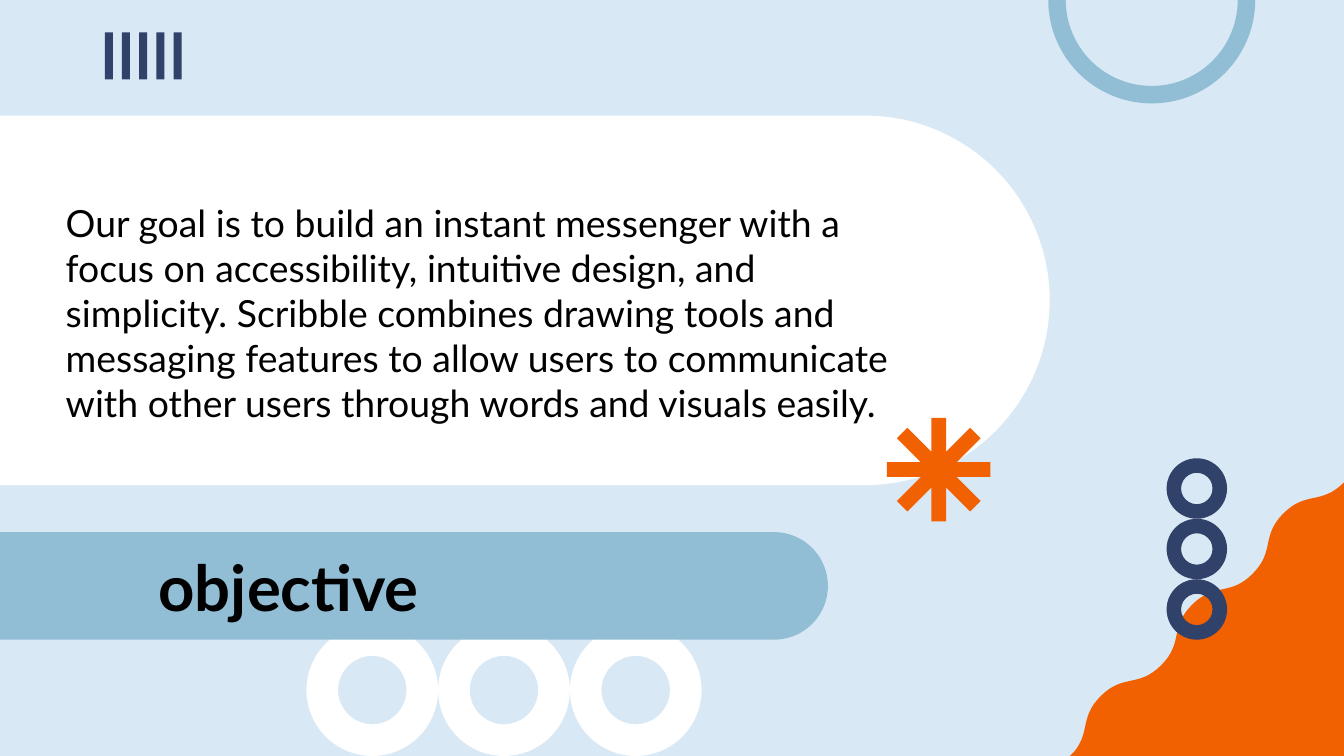
"""Build the objective slide of a messenger pitch."""
from math import cos, sin, pi
from pptx import Presentation
from pptx.dml.color import RGBColor as RGB
from pptx.enum.shapes import MSO_SHAPE as Kind
from pptx.enum.text import MSO_ANCHOR as Anchor, MSO_AUTO_SIZE as Fit, PP_ALIGN as Align
from pptx.util import Inches, Pt

HUES = {"sky": "D8E8F5", "white": "FFFFFF", "blue": "91BED5",
        "navy": "30426A", "flame": "F16101", "ink": "000000"}
WIDE = 10
HIGH = WIDE * 9 / 16

deck = Presentation()
deck.slide_width, deck.slide_height = Inches(WIDE), Inches(HIGH)
slide = deck.slides.add_slide(deck.slide_layouts[5])
shapes = slide.shapes
slide.background.fill.solid()
slide.background.fill.fore_color.rgb = RGB.from_string(HUES["sky"])


def draw(form, hue):
    """Add a preset (kind, left, top, width, height) or an outline of points."""
    if isinstance(form, tuple):
        kind, *box = form
        shape = shapes.add_shape(kind, *map(Inches, box))
    else:
        dots = [(Inches(x), Inches(y)) for x, y in form]
        pen = shapes.build_freeform(*dots[0])
        pen.add_line_segments(dots[1:], close=True)
        shape = pen.convert_to_shape()
    shape.shadow.inherit = False
    shape.fill.solid()
    shape.fill.fore_color.rgb = RGB.from_string(HUES[hue])
    shape.line.fill.background()
    return shape


def write(box, place, text, size, anchor, bold):
    """Place a text box and set its words."""
    box.left, box.top, box.width, box.height = map(Inches, place)
    frame = box.text_frame
    frame.text = text
    frame.word_wrap, frame.auto_size = True, Fit.NONE
    frame.vertical_anchor = anchor
    frame.margin_left = frame.margin_top = frame.margin_bottom = Inches(0.1)
    frame.margin_right = Inches(0.2)
    line = frame.paragraphs[0]
    line.alignment = Align.LEFT
    font = line.runs[0].font
    font.name, font.size, font.bold = "Lato", Pt(size), bold
    font.color.rgb = RGB.from_string(HUES["ink"])


size = 0.98
for col in range(3):
    ring = draw((Kind.DONUT, 2.28 + col * size, HIGH - size, size, size), "white")
    ring.adjustments[0] = 0.24

x, y = WIDE, 3.59
wave = [(WIDE, HIGH), (x, y)]
bends = [((-0.17, 0.17), (-0.28, 0.06), (-0.45, 0.23)),
         ((-0.17, 0.17), (-0.06, 0.28), (-0.23, 0.45))]
for a, b, c in bends * 3:
    for step in range(1, 17):
        t = step / 16
        p, q, r = 3 * t * (1 - t) ** 2, 3 * t * t * (1 - t), t ** 3
        wave.append((x + p * a[0] + q * b[0] + r * c[0],
                     min(HIGH, y + p * a[1] + q * b[1] + r * c[1])))
    x, y = x + c[0], y + c[1]
draw(wave, "flame")

for col in range(5):
    draw((Kind.RECTANGLE, 0.78 + col * 0.128, 0.24, 0.06, 0.35), "navy")

turns = [pi * step / 60 for step in range(61)]
outer = [(8.57 + 0.77 * cos(t), 0.77 * sin(t)) for t in turns]
inner = [(8.57 + 0.64 * cos(t), 0.64 * sin(t)) for t in reversed(turns)]
draw(outer + inner, "blue")

for top, span, depth, hue in [(0.86, 7.81, 2.75, "white"), (3.96, 6.16, 0.8, "blue")]:
    left = (span - depth) / 2
    band = draw((Kind.ROUND_2_SAME_RECTANGLE, left, top - left, depth, span), hue)
    band.rotation = 90
    band.adjustments[0], band.adjustments[1] = 0.5, 0

goal = ("Our goal is to build an instant messenger with a focus on accessibility, "
        "intuitive design, and simplicity. Scribble combines drawing tools and "
        "messaging features to allow users to communicate with other users "
        "through words and visuals easily.")
body = shapes.add_textbox(0, 0, 0, 0)
write(body, (0.39, 1.22, 6.61, 2.04), goal, 20, Anchor.BOTTOM, False)
title = shapes.title
shapes.element.append(title.element)
write(title, (1.08, 4.1, 4.38, 0.52), "objective", 34, Anchor.MIDDLE, True)

size = 0.45
for row in range(3):
    ring = draw((Kind.DONUT, 8.68, 3.41 + row * size, size, size), "navy")
    ring.adjustments[0] = 0.24

star = []
half, reach = 0.055, 0.385
notch = half / sin(pi / 8)
for arm in range(8):
    t = arm * pi / 4
    for side in (-half, half):
        star.append((6.985 + reach * cos(t) - side * sin(t),
                     3.495 + reach * sin(t) + side * cos(t)))
    star.append((6.985 + notch * cos(t + pi / 8), 3.495 + notch * sin(t + pi / 8)))
draw(star, "flame")

deck.save("out.pptx")
